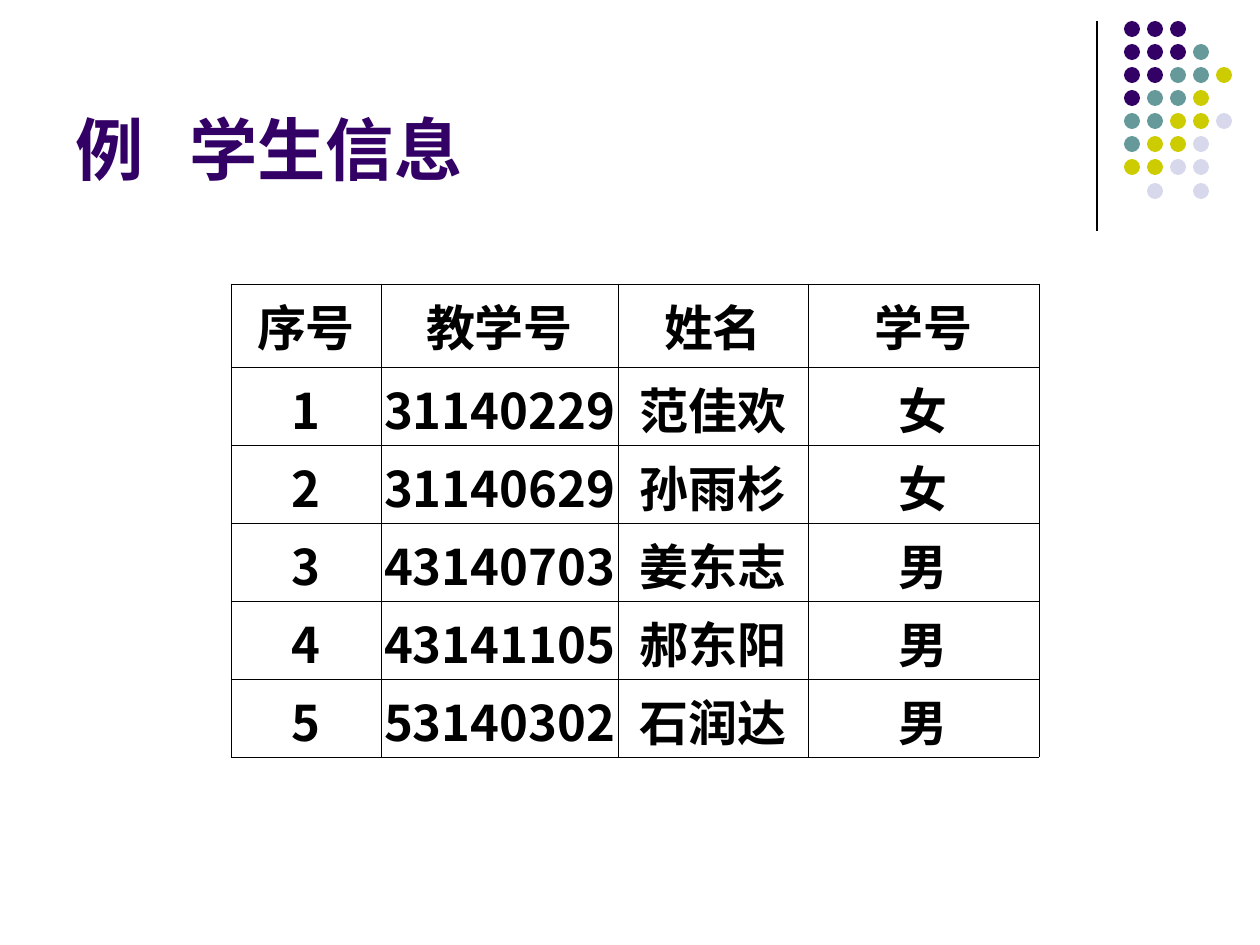
from dataclasses import dataclass

import pptx
import pptx.dml.color
import pptx.enum.shapes
import pptx.enum.text
import pptx.oxml.ns
import pptx.util
from lxml import etree

EMU_PER_PX = 914400 / 126


@dataclass(frozen=True)
class Theme:
    title: str = "330066"
    text: str = "000000"
    teal: str = "669999"
    lime: str = "CCCC00"
    pale: str = "D8D8EC"
    latin: str = "Arial"
    cjk: str = "Noto Sans CJK SC"
    title_pt: int = 39
    table_pt: int = 28
    rule_pt: float = 0.75
    border_pt: float = 0.45


@dataclass(frozen=True)
class Box:
    x: int
    y: int
    w: int
    h: int


@dataclass(frozen=True)
class Dot:
    col: int
    row: int
    color: str


@dataclass(frozen=True)
class Student:
    number: str
    teaching_id: str
    name: str
    gender: str


THEME = Theme()
DOT_COLORS = {"P": THEME.title, "T": THEME.teal, "L": THEME.lime, "W": THEME.pale}
DOT_ROWS = ["PPP", "PPPT", "PPTTL", "PTTL", "TTLLW", "TLLW", "LLWW", ".W.W"]
DOTS = [
    Dot(col, row, DOT_COLORS[key])
    for row, keys in enumerate(DOT_ROWS)
    for col, key in enumerate(keys)
    if key in DOT_COLORS
]
HEADER = ["序号", "教学号", "姓名", "学号"]
STUDENTS = [
    Student("1", "31140229", "范佳欢", "女"),
    Student("2", "31140629", "孙雨杉", "女"),
    Student("3", "43140703", "姜东志", "男"),
    Student("4", "43141105", "郝东阳", "男"),
    Student("5", "53140302", "石润达", "男"),
]
COLUMN_WIDTHS = [150, 237, 190, 231]
ROW_HEIGHTS = [83] + [78] * len(STUDENTS)


def px(n: int) -> int:
    return round(n * EMU_PER_PX)


def rgb(color: str) -> pptx.dml.color.RGBColor:
    return pptx.dml.color.RGBColor.from_string(color)


def add_xml(parent, tag: str, **attrs: str):
    return etree.SubElement(parent, pptx.oxml.ns.qn(tag), attrs)


def add_run(p, text: str, font: str, size: int, color: str) -> None:
    r = p.add_run()
    r.text = text
    r.font.name = font
    r.font.size = pptx.util.Pt(size)
    r.font.bold = True
    r.font.color.rgb = rgb(color)
    r.font.language_id = None
    add_xml(r.font._element, "a:ea", typeface=THEME.cjk)


def draw_rule(s, x: int, top: int, bottom: int) -> None:
    line = s.shapes.add_connector(
        pptx.enum.shapes.MSO_CONNECTOR.STRAIGHT, px(x), px(top), px(x), px(bottom)
    )
    line.line.color.rgb = rgb(THEME.text)
    line.line.width = pptx.util.Pt(THEME.rule_pt)
    add_xml(line._element.spPr, "a:effectLst")


def draw_dots(s, dots: list[Dot]) -> None:
    group = s.shapes.add_group_shape()
    for dot in dots:
        sp = group.shapes.add_shape(
            pptx.enum.shapes.MSO_SHAPE.OVAL,
            px(1124 + 23 * dot.col), px(21 + 162 * dot.row // 7), px(16), px(16),
        )
        sp.shadow.inherit = False
        sp.fill.solid()
        sp.fill.fore_color.rgb = rgb(dot.color)
        sp.line.fill.background()


def draw_title(s, box: Box, words: list[str], tab: int) -> None:
    tf = s.shapes.add_textbox(px(box.x), px(box.y), px(box.w), px(box.h)).text_frame
    tf.word_wrap = True
    tf.vertical_anchor = pptx.enum.text.MSO_ANCHOR.BOTTOM
    p = tf.paragraphs[0]
    tabs = add_xml(p._p.get_or_add_pPr(), "a:tabLst")
    add_xml(tabs, "a:tab", pos=str(px(tab)), algn="l")
    add_run(p, "\t".join(words), THEME.latin, THEME.title_pt, THEME.title)


def draw_cell(cell, text: str, side_inset: int) -> None:
    cell.margin_left = cell.margin_right = px(side_inset)
    cell.margin_top = cell.margin_bottom = px(6)
    cell.vertical_anchor = pptx.enum.text.MSO_ANCHOR.MIDDLE
    tcPr = cell._tc.get_or_add_tcPr()
    for side in ("L", "R", "T", "B"):
        ln = add_xml(tcPr, f"a:ln{side}", w=str(pptx.util.Pt(THEME.border_pt)))
        add_xml(add_xml(ln, "a:solidFill"), "a:srgbClr", val=THEME.text)
    cell.fill.background()
    p = cell.text_frame.paragraphs[0]
    p.alignment = pptx.enum.text.PP_ALIGN.CENTER
    add_run(p, text, THEME.cjk, THEME.table_pt, THEME.text)


def draw_table(s, x: int, y: int, students: list[Student]) -> None:
    rows = [HEADER] + [[t.number, t.teaching_id, t.name, t.gender] for t in students]
    table = s.shapes.add_table(
        len(rows), len(HEADER), px(x), px(y), px(sum(COLUMN_WIDTHS)), px(sum(ROW_HEIGHTS))
    ).table
    table.first_row = False
    table.horz_banding = False
    for column, width in zip(table.columns, COLUMN_WIDTHS):
        column.width = px(width)
    for i, (row, height, texts) in enumerate(zip(table.rows, ROW_HEIGHTS, rows)):
        row.height = px(height)
        for cell, text in zip(row.cells, texts):
            draw_cell(cell, text, 1 if i else 13)


def main() -> None:
    prs = pptx.Presentation()
    prs.slide_width, prs.slide_height = px(1260), px(945)
    s = prs.slides.add_slide(prs.slide_layouts[6])
    draw_rule(s, 1097, 21, 231)
    draw_dots(s, DOTS)
    draw_title(s, Box(63, 16, 1040, 179), ["例", "学生信息"], 114)
    draw_table(s, 231, 284, STUDENTS)
    prs.save("out.pptx")


if __name__ == "__main__":
    main()
